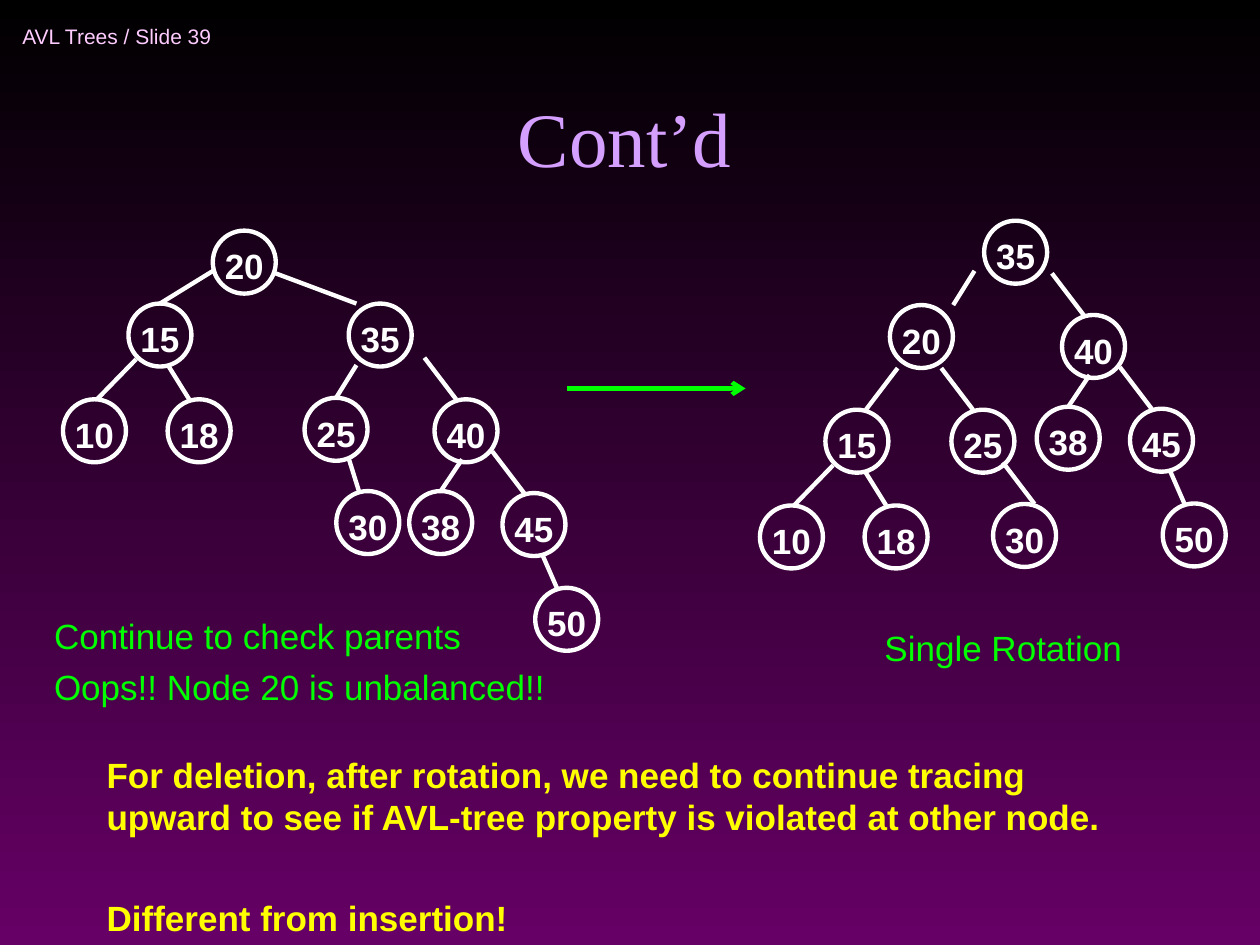
from dataclasses import dataclass

from lxml import etree
from pptx import Presentation
from pptx.dml.color import RGBColor
from pptx.enum.shapes import MSO_CONNECTOR, MSO_SHAPE
from pptx.enum.text import MSO_ANCHOR, PP_ALIGN
from pptx.oxml.ns import qn
from pptx.shapes.connector import Connector
from pptx.slide import Slide
from pptx.util import Cm, Pt

STRAIGHT = MSO_CONNECTOR.STRAIGHT
OVAL = MSO_SHAPE.OVAL
TOP, MIDDLE, BOTTOM = MSO_ANCHOR.TOP, MSO_ANCHOR.MIDDLE, MSO_ANCHOR.BOTTOM
CENTER = PP_ALIGN.CENTER
TITLE_ONLY = 5
NODE_SIZE = 1.27


@dataclass(frozen=True)
class Theme:
    background_top: RGBColor = RGBColor(0x00, 0x00, 0x00)
    background_bottom: RGBColor = RGBColor(0x66, 0x00, 0x66)
    header: RGBColor = RGBColor(0xFF, 0xCC, 0xFF)
    title: RGBColor = RGBColor(0xD4, 0x9F, 0xFF)
    tree: RGBColor = RGBColor(0xFF, 0xFF, 0xFF)
    comment: RGBColor = RGBColor(0x00, 0xFF, 0x00)
    conclusion: RGBColor = RGBColor(0xFF, 0xFF, 0x00)
    text_font: str = "Arial"
    title_font: str = "Times New Roman"
    header_size: Pt = Pt(12)
    text_size: Pt = Pt(20)
    title_size: Pt = Pt(44)
    line_width: Pt = Pt(2.5)


THEME = Theme()


@dataclass(frozen=True)
class Edge:
    """Line to a child: horizontal run, drop, and shift of its end from the child's top centre, in cm."""
    run: float
    drop: float
    shift: float = 0


@dataclass(frozen=True)
class Node:
    """Tree node, placed in cm from its parent (the root from the slide corner)."""
    key: int
    right: float
    down: float
    edge: Edge | None = None
    children: tuple["Node", ...] = ()


@dataclass(frozen=True)
class TextBlock:
    left: float
    top: float
    width: float
    height: float
    lines: tuple[str, ...]
    color: RGBColor
    size: Pt = THEME.text_size
    bold: bool = False
    gap: Pt = Pt(5)
    anchor: MSO_ANCHOR = TOP


STEEP = Edge(0.64, 0.84, -0.2)
SHORT_RIGHT = Edge(0.43, 0.69, -0.2)
SHORT_LEFT = Edge(-0.43, 0.64)

# Subtrees that the rotation moves without changing them
CHILDREN_OF_15 = (
    Node(10, -1.32, 1.93, Edge(-0.79, 0.81, 0.05)),
    Node(18, 0.79, 1.93, SHORT_RIGHT),
)
CHILDREN_OF_40 = (
    Node(38, -0.51, 1.85, SHORT_LEFT),
    Node(45, 1.37, 1.89, STEEP, (
        Node(50, 0.66, 1.91, Edge(0.28, 0.64, -0.2)),
    )),
)

UNBALANCED_TREE = Node(20, 4.29, 4.65, children=(
    Node(15, -1.7, 1.47, Edge(-1.07, 0.66), CHILDREN_OF_15),
    Node(35, 2.74, 1.47, Edge(1.63, 0.61, -0.48), (
        Node(25, -0.89, 1.9, Edge(-0.41, 0.66), (
            Node(30, 0.64, 1.88, Edge(0.2, 0.64, -0.18)),
        )),
        Node(40, 1.73, 1.93, STEEP, CHILDREN_OF_40),
    )),
))
ROTATED_TREE = Node(35, 19.84, 4.45, children=(
    Node(20, -1.9, 1.7, Edge(-0.43, 0.69, 0.64), (
        Node(15, -1.3, 2.11, Edge(-0.64, 0.84, 0.18), CHILDREN_OF_15),
        Node(25, 1.24, 2.11, STEEP, (
            Node(30, 0.84, 1.9, Edge(0.64, 0.84, 0.2)),
        )),
    )),
    Node(40, 1.57, 1.9, STEEP, CHILDREN_OF_40),
))

TEXT_BLOCKS = (
    TextBlock(0.2, 0.2, 6.99, 1.07, ("AVL Trees / Slide 39",), THEME.header,
              size=THEME.header_size, anchor=MIDDLE),
    TextBlock(0.84, 12.27, 10.8, 3.15,
              ("Continue to check parents", "Oops!! Node 20 is unbalanced!!"), THEME.comment),
    TextBlock(17.58, 12.5, 5.8, 2.13, ("Single Rotation",), THEME.comment),
    TextBlock(1.9, 15.06, 21.41, 4,
              ("For deletion, after rotation, we need to continue tracing upward "
               "to see if AVL-tree property is violated at other node.",
               "Different from insertion!"),
              THEME.conclusion, bold=True, gap=Pt(34)),
)


def style_font(font, name: str, size: Pt, color: RGBColor, bold: bool = False) -> None:
    font.name = name
    font.size = size
    font.bold = bold
    font.color.rgb = color


def paint_background(slide: Slide) -> None:
    fill = slide.background.fill
    fill.gradient()
    fill.gradient_angle = 270
    for stop, color in zip(fill.gradient_stops, (THEME.background_top, THEME.background_bottom)):
        stop.color.rgb = color


def write_title(slide: Slide, text: str) -> None:
    title = slide.shapes.title
    title.left, title.top, title.width, title.height = Cm(1.7), Cm(0.64), Cm(21.79), Cm(3.18)
    title.text_frame.text = text
    title.text_frame.vertical_anchor = BOTTOM
    paragraph = title.text_frame.paragraphs[0]
    paragraph.alignment = CENTER
    style_font(paragraph.font, THEME.title_font, THEME.title_size, THEME.title)


def write_block(slide: Slide, block: TextBlock) -> None:
    shape = slide.shapes.add_textbox(Cm(block.left), Cm(block.top), Cm(block.width), Cm(block.height))
    frame = shape.text_frame
    frame.word_wrap = True
    frame.vertical_anchor = block.anchor
    frame.text = "\n".join(block.lines)
    for index, paragraph in enumerate(frame.paragraphs):
        if index:
            paragraph.space_before = block.gap
        style_font(paragraph.font, THEME.text_font, block.size, block.color, block.bold)


def draw_line(slide: Slide, start: tuple[float, float], end: tuple[float, float],
              color: RGBColor) -> Connector:
    line = slide.shapes.add_connector(STRAIGHT, *(Cm(value) for value in start + end))
    line.line.color.rgb = color
    line.line.width = THEME.line_width
    etree.SubElement(line._element.spPr, qn("a:effectLst"))
    return line


def draw_tree(slide: Slide, node: Node, parent_left: float = 0, parent_top: float = 0) -> None:
    left, top = parent_left + node.right, parent_top + node.down
    if node.edge:
        end = left + NODE_SIZE / 2 + node.edge.shift
        draw_line(slide, (end - node.edge.run, top - node.edge.drop), (end, top), THEME.tree)

    circle = slide.shapes.add_shape(OVAL, Cm(left), Cm(top), Cm(NODE_SIZE), Cm(NODE_SIZE))
    circle.shadow.inherit = False
    circle.fill.background()
    circle.line.color.rgb = THEME.tree
    circle.line.width = THEME.line_width
    frame = circle.text_frame
    frame.word_wrap = False
    frame.vertical_anchor = MIDDLE
    frame.margin_left = frame.margin_right = frame.margin_bottom = 0
    frame.margin_top = Cm(0.15)
    frame.text = str(node.key)
    paragraph = frame.paragraphs[0]
    paragraph.alignment = CENTER
    style_font(paragraph.font, THEME.text_font, THEME.text_size, THEME.tree, bold=True)

    for child in node.children:
        draw_tree(slide, child, left, top)


def draw_rotation_arrow(slide: Slide) -> None:
    arrow = draw_line(slide, (11.43, 7.83), (15.03, 7.83), THEME.comment)
    etree.SubElement(arrow.line._get_or_add_ln(), qn("a:tailEnd"), type="arrow")


def main() -> None:
    presentation = Presentation()
    presentation.slide_width, presentation.slide_height = Cm(25.4), Cm(19.05)
    slide = presentation.slides.add_slide(presentation.slide_layouts[TITLE_ONLY])
    paint_background(slide)
    write_title(slide, "Cont’d")
    for block in TEXT_BLOCKS:
        write_block(slide, block)
    for tree in (UNBALANCED_TREE, ROTATED_TREE):
        draw_tree(slide, tree)
    draw_rotation_arrow(slide)
    presentation.save("out.pptx")


if __name__ == "__main__":
    main()
